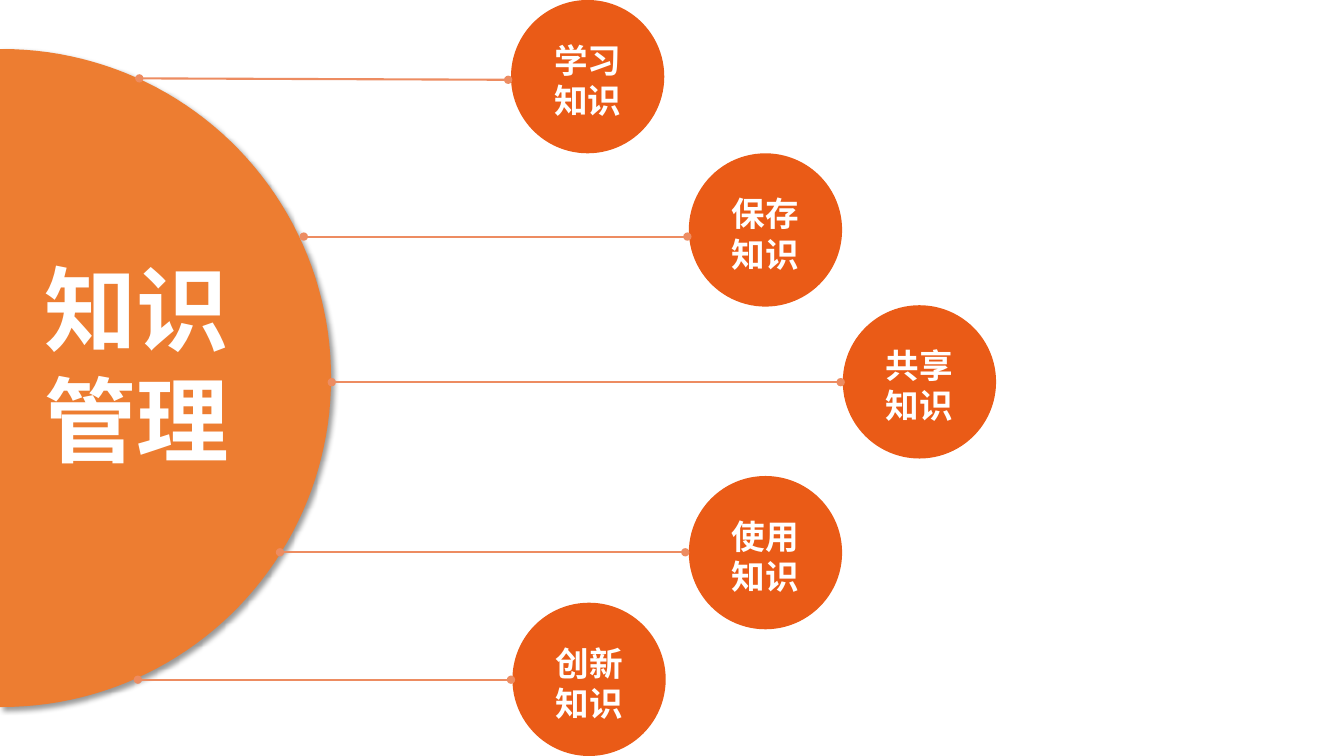
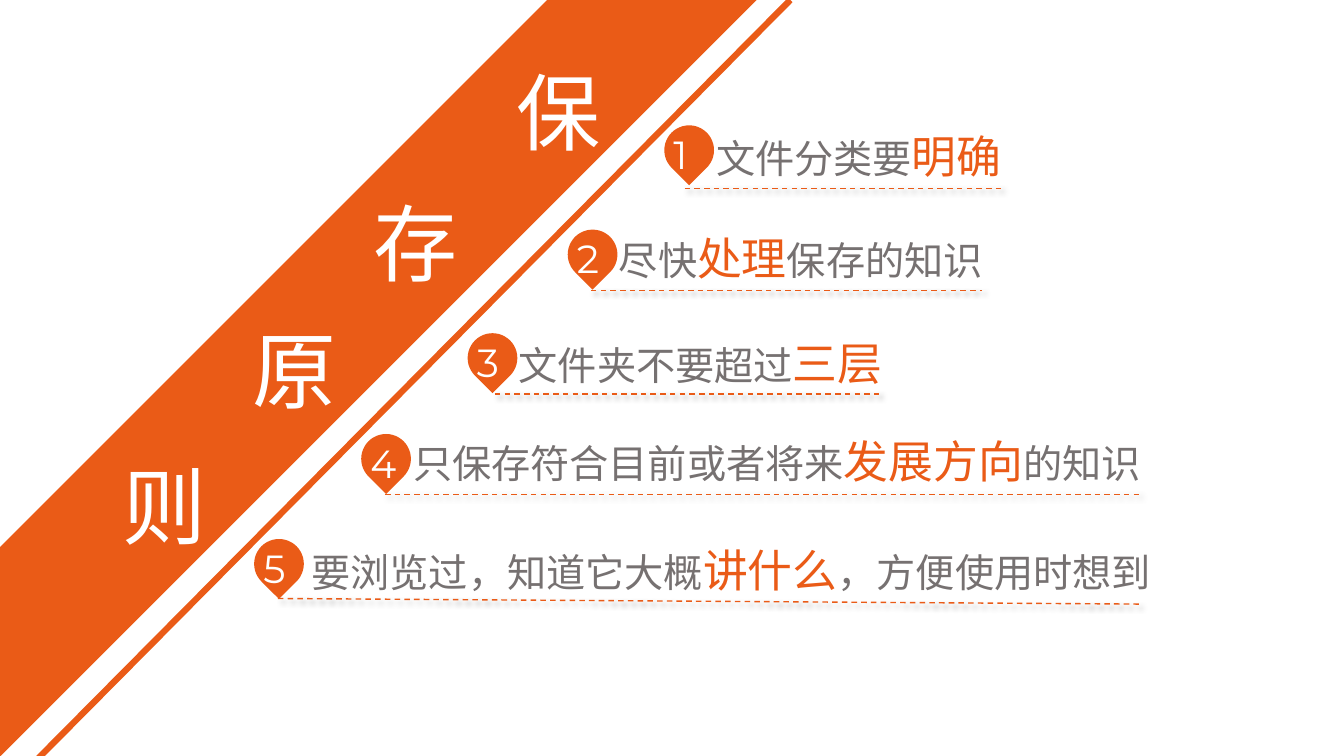
from copy import deepcopy
from math import cos, radians, sin

from lxml import etree
from pptx import Presentation
from pptx.dml.color import RGBColor
from pptx.enum.dml import MSO_LINE
from pptx.enum.shapes import MSO_CONNECTOR, MSO_SHAPE
from pptx.enum.text import MSO_ANCHOR, PP_ALIGN
from pptx.oxml import parse_xml
from pptx.oxml.ns import nsdecls, qn
from pptx.util import Pt

ORANGE = RGBColor(0xEA, 0x5B, 0x17)
HUB_ORANGE = RGBColor(0xED, 0x7D, 0x31)
LINK_ORANGE = RGBColor(0xED, 0x8C, 0x61)
GREY = RGBColor(0x76, 0x71, 0x71)
WHITE = RGBColor(0xFF, 0xFF, 0xFF)
CJK = "Noto Sans CJK SC"
LATIN = "Montserrat"

NO_EFFECT = parse_xml(f"<a:effectLst {nsdecls('a')}/>")
SHADOW = parse_xml(
    f"<a:effectLst {nsdecls('a')}>"
    f'<a:outerShdw blurRad="{Pt(4)}" dist="{Pt(3)}" dir="2700000" algn="tl" rotWithShape="0">'
    '<a:srgbClr val="000000"><a:alpha val="40000"/></a:srgbClr>'
    "</a:outerShdw></a:effectLst>"
)


def write(sp, runs, font=CJK, bold=False):
    """Fill the first paragraph with (text, size, colour) runs."""
    sp.text_frame.word_wrap = True
    p = sp.text_frame.paragraphs[0]
    for text, size, color in runs:
        r = p.add_run()
        r.text = text
        r.font.size = Pt(size)
        r.font.bold = bold
        r.font.color.rgb = color
        r.font.name = font
        etree.SubElement(r.font._element, qn("a:ea"), typeface=font)


def draw_line(s, x1, y1, x2, y2, color, width, effect=NO_EFFECT):
    line = s.shapes.add_connector(MSO_CONNECTOR.STRAIGHT, Pt(x1), Pt(y1), Pt(x2), Pt(y2))
    line.line.color.rgb = color
    line.line.width = Pt(width)
    line._element.spPr.append(deepcopy(effect))
    return line


prs = Presentation()
prs.slide_width, prs.slide_height = Pt(960), Pt(540)
blank = prs.slide_layouts[6]

# Slide 1: half disc with five linked circles
s = prs.slides.add_slide(blank)

cx, cy, radius = 1.5, 270, 235
arc = [
    (Pt(cx + radius * cos(radians(a))), Pt(cy + radius * sin(radians(a))))
    for a in range(-90, 91, 2)
]
outline = s.shapes.build_freeform(0, Pt(cy - radius))
outline.add_line_segments(arc + [(0, Pt(cy + radius))], close=True)
hub = outline.convert_to_shape()
hub.fill.solid()
hub.fill.fore_color.rgb = HUB_ORANGE
hub.line.fill.background()
hub._element.spPr.append(deepcopy(SHADOW))

title = s.shapes.add_textbox(Pt(31.5), Pt(180), Pt(180), Pt(160))
tf = title.text_frame
tf.margin_left = tf.margin_right = tf.margin_top = tf.margin_bottom = 0
write(title, [("知识管理", 66, WHITE)], bold=True)

# label, circle left and top, link from (x, y) to (x, y)
steps = [
    ("学习知识", 365, 0, 363, 57, 99.5, 56),
    ("保存知识", 492, 109.5, 491, 169, 217, 169),
    ("共享知识", 602, 218, 600.5, 273, 237, 273),
    ("使用知识", 492, 340, 489.5, 394.5, 200, 394.5),
    ("创新知识", 366, 430.5, 365, 485.5, 98.5, 485.5),
]
for label, x, y, *ends in steps:
    sp = s.shapes.add_shape(MSO_SHAPE.OVAL, Pt(x), Pt(y), Pt(109.5), Pt(109.5))
    sp.shadow.inherit = False
    sp.fill.solid()
    sp.fill.fore_color.rgb = ORANGE
    sp.line.fill.background()
    tf = sp.text_frame
    tf.margin_left = tf.margin_right = Pt(12)
    tf.margin_top, tf.margin_bottom = Pt(5), 0
    tf.vertical_anchor = MSO_ANCHOR.MIDDLE
    tf.paragraphs[0].alignment = PP_ALIGN.CENTER
    write(sp, [(label, 24, WHITE)], bold=True)

    link = draw_line(s, *ends, LINK_ORANGE, 1.5)
    ln = link._element.spPr.find(qn("a:ln"))
    for end in ("a:headEnd", "a:tailEnd"):
        etree.SubElement(ln, qn(end), type="oval")

# Slide 2: diagonal title band with five numbered rules
s = prs.slides.add_slide(blank)

band = s.shapes.add_shape(MSO_SHAPE.DIAGONAL_STRIPE, 0, 0, Pt(540.5), Pt(540.5))
band.adjustments[0] = 0.723
band.shadow.inherit = False
band.fill.solid()
band.fill.fore_color.rgb = ORANGE
band.line.fill.background()
draw_line(s, 564.5, 0, 27.5, 541.5, ORANGE, 4.5)

for char, x, y in [("保", 362, 39.5), ("存", 260, 133), ("原", 173.5, 224), ("则", 80.5, 321)]:
    box = s.shapes.add_textbox(Pt(x), Pt(y), Pt(80), Pt(80))
    write(box, [(char, 60, WHITE)])

# text before, key words, text after; pin, text position, underline ends
rules = [
    (("文件分类要", "明确", ""), (474.5, 89.5), (504.5, 88.5), (489, 134.5, 715.5, 134.5)),
    (("尽快", "处理", "保存的知识"), (405.5, 164), (435, 161), (422, 207.5, 701.5, 207.5)),
    (("文件夹不要超过", "三层", ""), (334, 238), (363.5, 236), (353.5, 281.5, 628, 281.5)),
    (("只保存符合目前或者将来", "发展方向", "的知识"),
     (258, 310), (288, 306.5), (275, 353, 814.5, 353)),
    (("要浏览过，知道它大概", "讲什么", "，方便使用时想到"),
     (181.5, 385), (215.5, 384), (198.5, 427.5, 814.5, 431.5)),
]
for number, (parts, (pin_x, pin_y), (x, y), ends) in enumerate(rules, 1):
    runs = [
        (text, size, color)
        for text, size, color in zip(parts, (28, 32, 28), (GREY, ORANGE, GREY))
        if text
    ]
    width = sum(len(text) * size for text, size, _ in runs) + 20
    box = s.shapes.add_textbox(Pt(x), Pt(y), Pt(width), Pt(46))
    write(box, runs)

    underline = draw_line(s, *ends, ORANGE, 1, SHADOW)
    underline.line.dash_style = MSO_LINE.DASH

    pin = s.shapes.add_shape(MSO_SHAPE.TEAR, Pt(pin_x), Pt(pin_y), Pt(35.5), Pt(35.5))
    pin.rotation = 135
    pin.shadow.inherit = False
    pin.fill.solid()
    pin.fill.fore_color.rgb = ORANGE
    pin.line.fill.background()
    digit = s.shapes.add_textbox(Pt(pin_x - 0.5), Pt(pin_y), Pt(35.5), Pt(41))
    write(digit, [(str(number), 28, WHITE)], font=LATIN)

prs.save("out.pptx")
